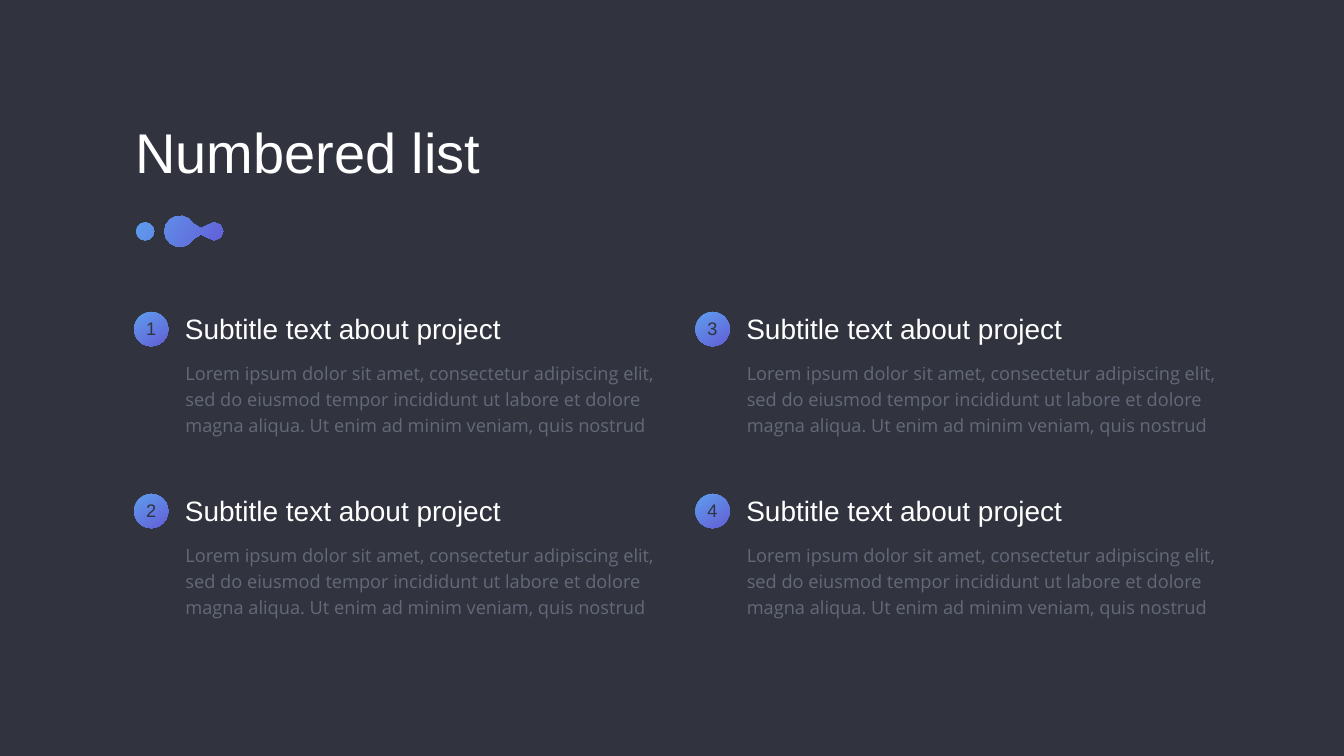
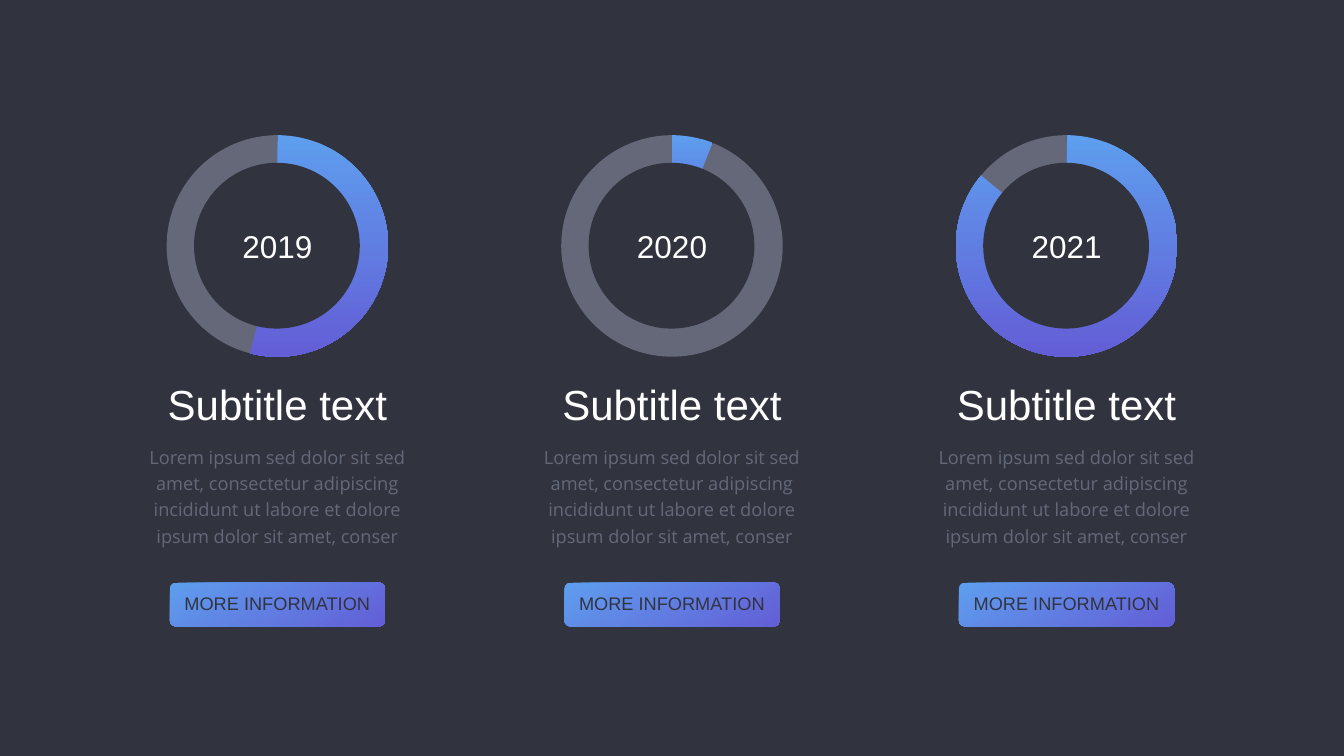
from math import cos, pi, sin

from lxml import etree
from pptx import Presentation
from pptx.chart.data import CategoryChartData
from pptx.dml.color import RGBColor
from pptx.enum.chart import XL_CHART_TYPE
from pptx.enum.shapes import MSO_SHAPE
from pptx.enum.text import MSO_ANCHOR, MSO_AUTO_SIZE, PP_ALIGN
from pptx.oxml.ns import qn
from pptx.util import Inches, Pt

# Shared style
rgb = RGBColor.from_string
DARK, WHITE, GREY, RING = "31333F", "FFFFFF", "646979", "646879"
CHART_TEXT = "2F313F"
BLUE, VIOLET = "5E9EEE", "635ED6"


def fill_gradient(fill, angle):
    """Blue to violet, with the angle measured clockwise."""
    fill.gradient()
    fill.gradient_angle = 360 - angle
    for stop, color in zip(fill.gradient_stops, (BLUE, VIOLET)):
        stop.color.rgb = rgb(color)


def add_text(s, text, x, y, w, h, size, color, align=PP_ALIGN.LEFT, body=False):
    tf = s.shapes.add_textbox(Inches(x), Inches(y), Inches(w), Inches(h)).text_frame
    tf.text = text
    tf.word_wrap = True
    tf.auto_size = MSO_AUTO_SIZE.SHAPE_TO_FIT_TEXT
    tf.vertical_anchor = MSO_ANCHOR.TOP if body else MSO_ANCHOR.MIDDLE
    tf.margin_left = tf.margin_right = tf.margin_top = tf.margin_bottom = Inches(0.06)
    p = tf.paragraphs[0]
    p.alignment = align
    if body:
        p.line_spacing = 1.2
        p.space_before = Pt(20)
    r = p.runs[0]
    r.font.size = Pt(size)
    r.font.name = "Open Sans" if body else "Arial"
    r.font.color.rgb = rgb(color)


prs = Presentation()
prs.slide_width = Inches(26.67)
prs.slide_height = Inches(15)
slides = []
for _ in range(2):
    s = prs.slides.add_slide(prs.slide_layouts[6])
    s.background.fill.solid()
    s.background.fill.fore_color.rgb = rgb(DARK)
    slides.append(s)

# Slide 1: title
s = slides[0]
add_text(s, "Numbered list", 2.62, 2.28, 13.18, 1.42, 80, WHITE)

# Title ornament: a large drop joined to a small one by a neck, and a loose dot
# Each arc: centre x, radius, first and last angle in degrees, number of steps
arcs = [(3.57, 0.31, 30, 330, 12), (4.25, 0.18, 225, 495, 6)]
drops = []
for cx, radius, first, last, steps in arcs:
    for i in range(steps + 1):
        a = (first + (last - first) * i / steps) * pi / 180
        drops.append((cx + radius * cos(a), 4.59 + radius * sin(a)))
    # Waist of the neck, above after the large drop and below after the small one
    drops.append((3.99, 4.53 if cx < 4 else 4.65))
dot = [(2.88 + 0.18 * cos(i * pi / 6), 4.59 + 0.18 * sin(i * pi / 6)) for i in range(12)]

drops = [(Inches(x), Inches(y)) for x, y in drops]
dot = [(Inches(x), Inches(y)) for x, y in dot]
builder = s.shapes.build_freeform(*drops[0])
builder.add_line_segments(drops[1:])
builder.move_to(*dot[0])
builder.add_line_segments(dot[1:])
sp = builder.convert_to_shape()
sp.shadow.inherit = False
sp.line.fill.background()
fill_gradient(sp.fill, 34)

# Numbered items, down each column in turn
item_text = ("Lorem ipsum dolor sit amet, consectetur adipiscing elit, sed do eiusmod "
             "tempor incididunt ut labore et dolore magna aliqua. Ut enim ad minim "
             "veniam, quis nostrud")
for i in range(4):
    x = 2.66 + 11.14 * (i // 2)
    y = 6.19 + 3.61 * (i % 2)
    add_text(s, item_text, x + 0.96, y + 0.85, 9.47, 1.81, 26, GREY, body=True)
    sp = s.shapes.add_shape(MSO_SHAPE.OVAL, Inches(x), Inches(y), Inches(0.68), Inches(0.68))
    sp.shadow.inherit = False
    sp.line.fill.background()
    fill_gradient(sp.fill, 57)
    add_text(s, str(i + 1), x - 0.01, y + 0.05, 0.7, 0.53, 26, DARK, PP_ALIGN.CENTER)
    add_text(s, "Subtitle text about project", x + 0.95, y - 0.05, 7.52, 0.76, 40, WHITE)

# Slide 2: one column per year, each centred on mid
s = slides[1]
year_text = ("Lorem ipsum sed dolor sit sed amet, consectetur adipiscing incididunt "
             "ut labore et dolore ipsum dolor sit amet, conser")
for i, (year, share) in reversed(list(enumerate([("2019", 54), ("2020", 6), ("2021", 86)]))):
    mid = 5.5 + 7.83 * i
    add_text(s, "Subtitle text", mid - 2.57, 7.47, 5.15, 1.1, 60, WHITE, PP_ALIGN.CENTER)
    add_text(s, year_text, mid - 2.72, 8.71, 5.45, 2.41, 26, GREY, PP_ALIGN.CENTER, body=True)

    # Button
    sp = s.shapes.add_shape(MSO_SHAPE.ROUNDED_RECTANGLE, Inches(mid - 2.13), Inches(11.56),
                            Inches(4.27), Inches(0.87))
    sp.adjustments[0] = 0.13
    sp.shadow.inherit = False
    sp.line.fill.background()
    fill_gradient(sp.fill, 57)
    add_text(s, "MORE INFORMATION", mid - 2.09, 11.71, 4.19, 0.53, 26, DARK, PP_ALIGN.CENTER)

    # Pie chart
    data = CategoryChartData()
    data.categories = ["1", "2"]
    data.add_series("Series 1", (share, 100 - share))
    chart = s.shapes.add_chart(XL_CHART_TYPE.PIE, Inches(mid - 2.22), Inches(2.66),
                               Inches(4.45), Inches(4.45), data).chart
    chart.has_legend = False
    chart.has_title = False
    chart.font.name = "Roboto"
    chart.font.size = Pt(10)
    chart.font.color.rgb = rgb(CHART_TEXT)
    plot = chart.plots[0]
    plot.vary_by_categories = True
    series = plot.series[0]
    fill_gradient(series.format.fill, 90)
    points = series.points
    fill_gradient(points[0].format.fill, 90)
    points[1].format.fill.solid()
    points[1].format.fill.fore_color.rgb = rgb(RING)
    for part in (series, points[0], points[1]):
        part.format.line.fill.background()

    # Let the pie fill its frame
    area = chart._chartSpace.find(".//" + qn("c:plotArea"))
    for old in area.findall(qn("c:layout")):
        area.remove(old)
    layout = etree.Element(qn("c:layout"))
    manual = etree.SubElement(layout, qn("c:manualLayout"))
    for tag, val in [("layoutTarget", "inner"), ("xMode", "edge"), ("yMode", "edge"),
                     ("x", "0.005"), ("y", "0.005"), ("w", "0.99"), ("h", "0.988")]:
        etree.SubElement(manual, qn("c:" + tag)).set("val", val)
    area.insert(0, layout)

    # Hole and year
    sp = s.shapes.add_shape(MSO_SHAPE.OVAL, Inches(mid - 1.65), Inches(3.23),
                            Inches(3.29), Inches(3.29))
    sp.shadow.inherit = False
    sp.line.fill.background()
    sp.fill.solid()
    sp.fill.fore_color.rgb = rgb(DARK)
    add_text(s, year, mid - 1.02, 4.46, 2.05, 0.83, 45, WHITE, PP_ALIGN.CENTER)

prs.save("out.pptx")
